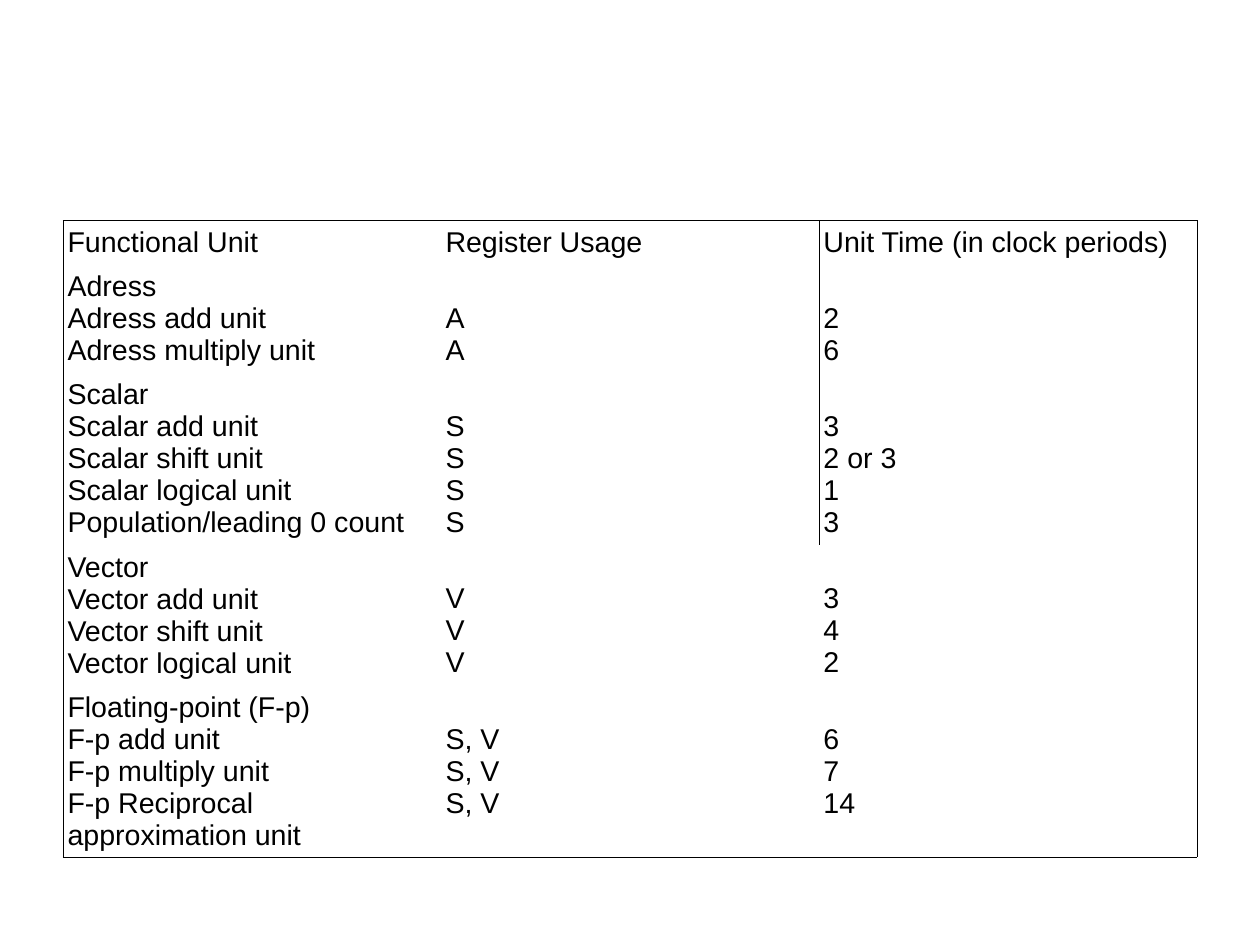
from dataclasses import dataclass

from lxml.etree import SubElement
from pptx import Presentation
from pptx.dml.color import RGBColor
from pptx.oxml.ns import qn
from pptx.util import Cm, Pt

HEAD = ("Functional Unit", "Register Usage", "Unit Time (in clock periods)")

# Group, its units as (name, register, time), and the lines it takes up
GROUPS = [
    ("Adress", [
        ("Adress add unit", "A", "2"),
        ("Adress multiply unit", "A", "6"),
    ], 3),
    ("Scalar", [
        ("Scalar add unit", "S", "3"),
        ("Scalar shift unit", "S", "2 or 3"),
        ("Scalar logical unit", "S", "1"),
        ("Population/leading 0 count", "S", "3"),
    ], 5),
    ("Vector", [
        ("Vector add unit", "V", "3"),
        ("Vector shift unit", "V", "4"),
        ("Vector logical unit", "V", "2"),
    ], 4),
    ("Floating-point (F-p)", [
        ("F-p add unit", "S, V", "6"),
        ("F-p multiply unit", "S, V", "7"),
        ("F-p Reciprocal approximation unit", "S, V", "14"),
    ], 5),
]


@dataclass(frozen=True)
class Theme:
    font: str = "Arial"
    size: float = 18
    ink: str = "000000"
    paper: str = "FFFFFF"
    rule: float = 0.06


THEME = Theme()
LEFT, TOP, WIDTH = 1.4, 4.9, 8.4
LINE, PAD, SIDE = 0.71, 0.27, 0.1
RULED = 3  # rows with a line before the time column


def set_edges(cell, shown):
    """Draw the edges named in shown (from L, R, T, B) and clear the others."""
    props = cell._tc.get_or_add_tcPr()
    for side in "LRTB":
        edge = SubElement(props, qn(f"a:ln{side}"), w=str(Pt(THEME.rule)))
        if side in shown:
            fill = SubElement(edge, qn("a:solidFill"))
            SubElement(fill, qn("a:srgbClr"), val=THEME.ink)
        else:
            SubElement(edge, qn("a:noFill"))


def find_edges(row, col, last):
    tests = {
        "L": col == 0 or (col == 2 and row < RULED),
        "R": col == 2 or (col == 1 and row < RULED),
        "T": row == 0,
        "B": row == last,
    }
    return [side for side, shown in tests.items() if shown]


def fill_cell(cell, text, skip):
    """Write text, starting skip lines below the top of the cell."""
    cell.margin_left = cell.margin_right = Cm(SIDE)
    cell.margin_top = Cm(PAD / 2 + skip * LINE)
    cell.margin_bottom = Cm(PAD / 2)
    cell.fill.solid()
    cell.fill.fore_color.rgb = RGBColor.from_string(THEME.paper)
    cell.text_frame.text = text
    for par in cell.text_frame.paragraphs:
        for run in par.runs:
            run.font.name = THEME.font
            run.font.size = Pt(THEME.size)
            run.font.bold = False
            run.font.color.rgb = RGBColor.from_string(THEME.ink)


def add_units(slide):
    rows = [(HEAD, 1, 0)]
    for group, units, lines in GROUPS:
        names, regs, times = zip(*units)
        texts = ["\n".join(part) for part in ((group, *names), regs, times)]
        rows.append((texts, lines, 1))

    heights = [Cm(lines * LINE + PAD) for _, lines, _ in rows]
    frame = slide.shapes.add_table(
        len(rows), len(HEAD), Cm(LEFT), Cm(TOP), Cm(WIDTH * len(HEAD)), sum(heights))
    table = frame.table
    table.first_row = table.horz_banding = False
    for column in table.columns:
        column.width = Cm(WIDTH)
    for row, (texts, _, skip) in enumerate(rows):
        table.rows[row].height = heights[row]
        for col, text in enumerate(texts):
            cell = table.cell(row, col)
            set_edges(cell, find_edges(row, col, len(rows) - 1))
            fill_cell(cell, text, skip if col else 0)


def main():
    deck = Presentation()
    deck.slide_width, deck.slide_height = Cm(28), Cm(21)
    slide = deck.slides.add_slide(deck.slide_layouts[6])
    add_units(slide)
    deck.save("out.pptx")


if __name__ == "__main__":
    main()
